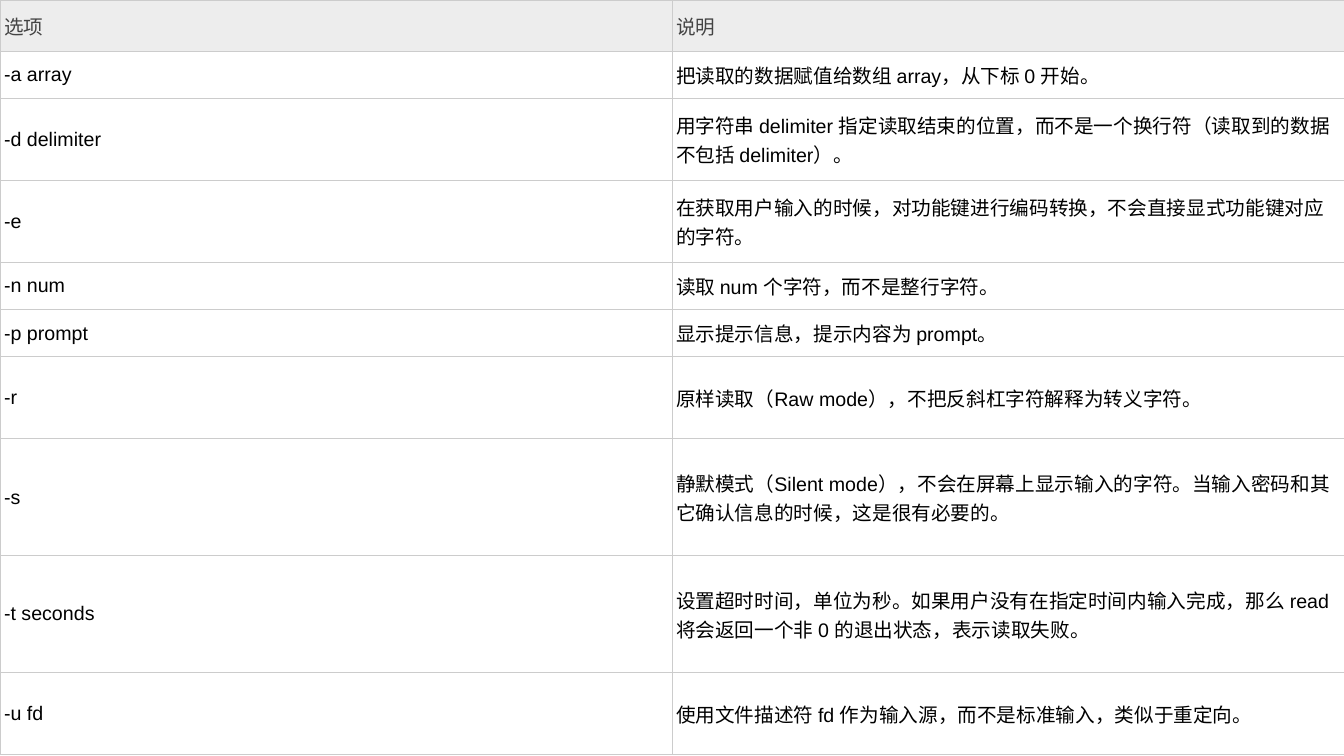
import dataclasses
import lxml.etree
import pptx
import pptx.dml.color
import pptx.enum.text
import pptx.oxml.ns
import pptx.util


@dataclasses.dataclass(frozen=True)
class Theme:
    font: str = "Arial"
    text_size: float = 14
    header_text: str = "444444"
    body_text: str = "000000"
    header_fill: str = "EDEDED"
    body_fill: str = "FFFFFF"
    border: str = "CCCCCC"
    border_width: float = 0.75
    side_margin: float = 2.9
    header_margin: float = 4.3
    body_margin: float = 2.9


WIDTH, HEIGHT = 960, 540
HEADER_ROW, SHORT_ROW, MEDIUM_ROW, TALL_ROW = 36.7, 33.6, 58.7, 83.5

HEADINGS = ("选项", "说明")
# Option, description, row height
OPTIONS = [
    ("-a array", "把读取的数据赋值给数组 array，从下标 0 开始。", SHORT_ROW),
    ("-d delimiter", "用字符串 delimiter 指定读取结束的位置，而不是一个换行符（读取到的数据不包括 delimiter）。", MEDIUM_ROW),
    ("-e", "在获取用户输入的时候，对功能键进行编码转换，不会直接显式功能键对应的字符。", MEDIUM_ROW),
    ("-n num", "读取 num 个字符，而不是整行字符。", SHORT_ROW),
    ("-p prompt", "显示提示信息，提示内容为 prompt。", SHORT_ROW),
    ("-r", "原样读取（Raw mode），不把反斜杠字符解释为转义字符。", MEDIUM_ROW),
    ("-s", "静默模式（Silent mode），不会在屏幕上显示输入的字符。当输入密码和其它确认信息的时候，这是很有必要的。", TALL_ROW),
    ("-t seconds", "设置超时时间，单位为秒。如果用户没有在指定时间内输入完成，那么 read 将会返回一个非 0 的退出状态，表示读取失败。", TALL_ROW),
    ("-u fd", "使用文件描述符 fd 作为输入源，而不是标准输入，类似于重定向。", MEDIUM_ROW),
]


def write_text(frame, text, *, font, size, color, bold=False):
    run = frame.paragraphs[0].add_run()
    run.text = text
    run.font.name = font
    run.font.size = pptx.util.Pt(size)
    run.font.bold = bold
    run.font.color.rgb = pptx.dml.color.RGBColor.from_string(color)


class SlideBuilder:
    def __init__(self, slide, theme):
        self.slide = slide
        self.theme = theme

    def borders(self, cell):
        properties = cell._tc.get_or_add_tcPr()
        # Border lines must precede the fill
        for position, side in enumerate(("a:lnL", "a:lnR", "a:lnT", "a:lnB")):
            line = lxml.etree.Element(
                pptx.oxml.ns.qn(side), w=str(pptx.util.Pt(self.theme.border_width)))
            fill = lxml.etree.SubElement(line, pptx.oxml.ns.qn("a:solidFill"))
            lxml.etree.SubElement(
                fill, pptx.oxml.ns.qn("a:srgbClr"), val=self.theme.border)
            properties.insert(position, line)

    def cell(self, cell, text, *, header):
        theme = self.theme
        cell.fill.solid()
        cell.fill.fore_color.rgb = pptx.dml.color.RGBColor.from_string(
            theme.header_fill if header else theme.body_fill)
        cell.margin_left = cell.margin_right = pptx.util.Pt(theme.side_margin)
        cell.margin_top = cell.margin_bottom = pptx.util.Pt(
            theme.header_margin if header else theme.body_margin)
        cell.vertical_anchor = pptx.enum.text.MSO_ANCHOR.MIDDLE
        write_text(cell.text_frame, text, font=theme.font, size=theme.text_size,
                   color=theme.header_text if header else theme.body_text)
        self.borders(cell)

    def table(self, rows, heights, left, top, width):
        columns = len(rows[0])
        table = self.slide.shapes.add_table(
            len(rows), columns, pptx.util.Pt(left), pptx.util.Pt(top),
            pptx.util.Pt(width), pptx.util.Pt(sum(heights))).table
        table.horz_banding = False
        for column in table.columns:
            column.width = pptx.util.Pt(width / columns)
        for row_index, (texts, height) in enumerate(zip(rows, heights)):
            table.rows[row_index].height = pptx.util.Pt(height)
            for column_index, text in enumerate(texts):
                self.cell(table.cell(row_index, column_index), text,
                          header=row_index == 0)


def main():
    presentation = pptx.Presentation()
    presentation.slide_width = pptx.util.Pt(WIDTH)
    presentation.slide_height = pptx.util.Pt(HEIGHT)
    slide = presentation.slides.add_slide(presentation.slide_layouts[6])

    # Table of read options
    rows = [HEADINGS] + [option[:2] for option in OPTIONS]
    heights = [HEADER_ROW] + [option[2] for option in OPTIONS]
    SlideBuilder(slide, Theme()).table(rows, heights, 0, 0, WIDTH)

    presentation.save("out.pptx")


if __name__ == "__main__":
    main()
